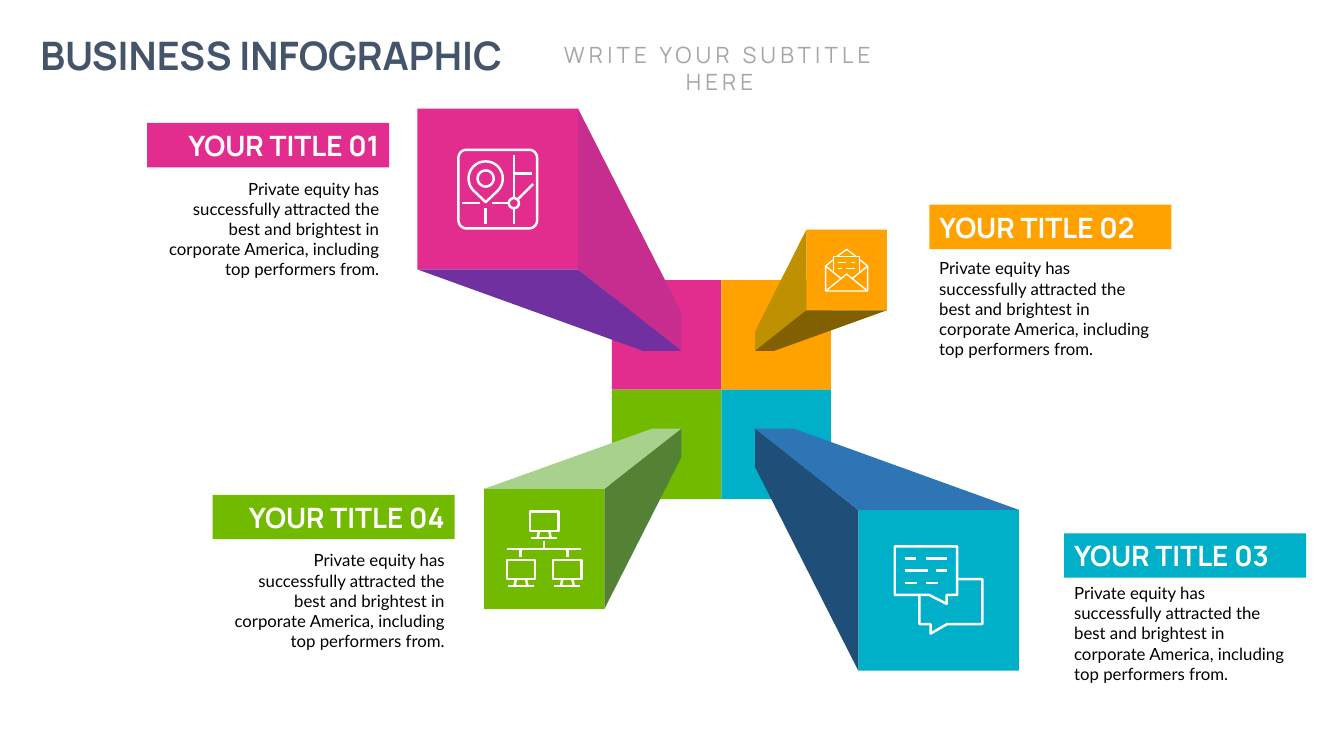
from dataclasses import dataclass
from math import cos, radians, sin

from pptx import Presentation
from pptx.dml.color import RGBColor
from pptx.enum.shapes import MSO_SHAPE
from pptx.enum.text import MSO_ANCHOR, MSO_AUTO_SIZE, PP_ALIGN
from pptx.util import Cm, Pt

RECTANGLE = MSO_SHAPE.RECTANGLE
LEFT, CENTER, RIGHT = PP_ALIGN.LEFT, PP_ALIGN.CENTER, PP_ALIGN.RIGHT
TOP, MIDDLE = MSO_ANCHOR.TOP, MSO_ANCHOR.MIDDLE
NO_AUTOFIT = MSO_AUTO_SIZE.NONE


@dataclass(frozen=True)
class Theme:
    """Colours, fonts and type sizes of the slide."""
    heading_font: str = "Manrope"
    body_font: str = "Lato"
    title_size: int = 28
    banner_size: int = 20
    subtitle_size: int = 16
    body_size: int = 12
    navy: str = "44546A"
    grey: str = "A6A6A6"
    black: str = "000000"
    white: str = "FFFFFF"
    pink: str = "E32D8E"
    dark_pink: str = "C62D8E"
    purple: str = "7030A0"
    orange: str = "FFA200"
    ochre: str = "BF9000"
    brown: str = "806000"
    cyan: str = "00B0C9"
    navy_blue: str = "1F4E79"
    blue: str = "2E75B6"
    green: str = "72BA00"
    dark_green: str = "548235"
    pale_green: str = "A9D18E"


THEME = Theme()
BODY = ("Private equity has successfully attracted the best and brightest "
        "in corporate America, including top performers from.")
ICON_UNIT = 0.0254
TIP_RATIO = 0.24
CAPTION_WIDTH, BANNER_HEIGHT, BODY_HEIGHT = 6.1, 1.12, 2.82


def arc(x, y, radius, start=0, end=360):
    """Return points along an arc given in degrees."""
    steps = 24
    angles = [radians(start + (end - start) * step / steps) for step in range(steps + 1)]
    return [(x + radius * cos(angle), y + radius * sin(angle)) for angle in angles]


def monitor(x, y):
    """Return the strokes of a desktop screen on its stand."""
    return [
        [(x, y), (x + 28, y), (x + 28, y + 19), (x, y + 19), (x, y)],
        [(x + 9, y + 19), (x + 7.5, y + 26)],
        [(x + 19, y + 19), (x + 20.5, y + 26)],
        [(x + 1, y + 26), (x + 27, y + 26)],
    ]


def dashes(*rows):
    """Return horizontal strokes from (y, start, end) rows."""
    return [[(start, y), (end, y)] for y, start, end in rows]


MAP_FRAME = (arc(9, 9, 8, 180, 270) + arc(71, 9, 8, 270, 360)
             + arc(71, 71, 8, 0, 90) + arc(9, 71, 8, 90, 180) + [(1, 9)])
MAP_PIN = arc(28, 29.5, 17, 135, 405) + [(28, 53), arc(28, 29.5, 17, 135)[0]]
MAP_ICON = [
    MAP_FRAME, MAP_PIN, arc(28, 29.5, 8), arc(56, 54, 5),
    [(28, 59), (28, 75)], [(56, 6), (56, 49)], [(56, 59), (56, 75)], [(60, 50), (75, 35)],
] + dashes((54, 5, 22), (54, 34, 51), (24.5, 56, 74))
LETTER_ICON = [
    [(8, 11.5), (0.7, 17.5), (0.7, 42.3), (42.3, 42.3), (42.3, 17.5), (35, 11.5)],
    [(8.3, 23.5), (8.3, 8), (34.5, 8), (34.5, 23.5)],
    [(12, 8), (21.5, 1), (31, 8)],
    [(0.7, 17.5), (15.5, 29.7)], [(42.3, 17.5), (27.5, 29.7)],
    [(0.7, 42.3), (21.5, 25.5), (42.3, 42.3)],
] + dashes((14, 13, 21), (14, 26, 30), (20, 13, 17), (20, 21, 30))
NETWORK_ICON = (
    monitor(24, 1) + monitor(1, 49) + monitor(47, 49)
    + [[(x, y), (x, y + 8)] for x, y in ((38, 30), (14.5, 38), (61, 38))]
    + dashes((38, 1, 75)))
CHAT_ICON = [
    [(1, 1), (63, 1), (63, 49), (52.5, 49), (52.5, 58), (35, 49), (1, 49), (1, 1)],
    [(63, 33.5), (88, 33.5), (88, 78), (53, 78), (36.5, 87.5), (36.5, 78),
     (25.5, 78), (25.5, 49)],
] + dashes((13, 11, 22), (13, 32, 53), (25, 11, 34), (25, 42, 53), (37, 11, 23), (37, 32, 44))


def paint(shape, colour):
    """Give a shape a flat fill without outline or shadow."""
    shape.shadow.inherit = False
    shape.fill.solid()
    shape.fill.fore_color.rgb = RGBColor.from_string(colour)
    shape.line.fill.background()


def add_rectangle(slide, left, top, width, height, colour):
    """Add a flat rectangle and return it."""
    shape = slide.shapes.add_shape(RECTANGLE, Cm(left), Cm(top), Cm(width), Cm(height))
    paint(shape, colour)
    return shape


def add_outline(slide, strokes):
    """Add one freeform made of strokes given in centimetres."""
    lengths = [[(Cm(x), Cm(y)) for x, y in stroke] for stroke in strokes]
    builder = slide.shapes.build_freeform(*lengths[0][0], scale=1.0)
    for index, stroke in enumerate(lengths):
        if index:
            builder.move_to(*stroke[0])
        builder.add_line_segments(stroke[1:], close=False)
    return builder.convert_to_shape()


def write(shape, text, font, size, colour, alignment, bold=False, anchor=TOP):
    """Write one formatted paragraph into a shape."""
    frame = shape.text_frame
    frame.auto_size = NO_AUTOFIT
    frame.word_wrap = True
    frame.vertical_anchor = anchor
    frame.text = text
    paragraph = frame.paragraphs[0]
    paragraph.alignment = alignment
    paragraph.font.name = font
    paragraph.font.size = Pt(size)
    paragraph.font.bold = bold
    paragraph.font.color.rgb = RGBColor.from_string(colour)
    return paragraph


def add_header(slide, left, top):
    """Place the title and the spaced-out subtitle beside it."""
    title = slide.shapes.title
    title.left, title.top, title.width, title.height = Cm(left), Cm(top), Cm(12.45), Cm(1.45)
    write(title, "BUSINESS INFOGRAPHIC", THEME.heading_font, THEME.title_size,
          THEME.navy, CENTER, bold=True)
    title.text_frame.word_wrap = False
    subtitle = slide.shapes.add_textbox(Cm(left + 12.42), Cm(top + 0.25), Cm(10.21), Cm(0.94))
    paragraph = write(subtitle, "WRITE YOUR SUBTITLE HERE", THEME.heading_font,
                      THEME.subtitle_size, THEME.grey, CENTER)
    paragraph.runs[0]._r.get_or_add_rPr().set("spc", "300")


def add_hub(slide, left, top, tile):
    """Place the four tiles from which the beams rise."""
    colours = (THEME.pink, THEME.orange, THEME.green, THEME.cyan)
    for index, colour in enumerate(colours):
        row, column = divmod(index, 2)
        add_rectangle(slide, left + column * tile, top + row * tile, tile, tile, colour)


def add_beam(slide, left, top, side, tip, colours):
    """Place a square front with two faces receding to the tip."""
    front, side_face, level_face = colours
    tip_x, tip_y = tip
    right, bottom = left + side, top + side
    inner_x, outer_x, step_x = (right, left, -1) if tip_x > right else (left, right, 1)
    inner_y, outer_y, step_y = (bottom, top, -1) if tip_y > bottom else (top, bottom, 1)
    depth = TIP_RATIO * side
    inner = (inner_x, inner_y)
    add_rectangle(slide, left, top, side, side, front)
    for outer, shoulder, colour in (
            ((inner_x, outer_y), (tip_x, tip_y + step_y * depth), side_face),
            ((outer_x, inner_y), (tip_x + step_x * depth, tip_y), level_face)):
        paint(add_outline(slide, [[inner, outer, shoulder, tip, inner]]), colour)


def add_icon(slide, left, top, side, strokes, size, weight):
    """Centre a white line icon in a square."""
    inset = (side - size * ICON_UNIT) / 2
    icon = add_outline(slide, [[(left + inset + x * ICON_UNIT, top + inset + y * ICON_UNIT)
                                for x, y in stroke] for stroke in strokes])
    icon.shadow.inherit = False
    icon.fill.background()
    icon.line.color.rgb = RGBColor.from_string(THEME.white)
    icon.line.width = Pt(weight)


def add_caption(slide, left, top, body_offset, text, colour, alignment):
    """Place a coloured banner with its description below."""
    banner = add_rectangle(slide, left, top, CAPTION_WIDTH, BANNER_HEIGHT, colour)
    write(banner, text, THEME.heading_font, THEME.banner_size, THEME.white, alignment,
          bold=True, anchor=MIDDLE)
    body = slide.shapes.add_textbox(Cm(left), Cm(top + body_offset), Cm(CAPTION_WIDTH),
                                    Cm(BODY_HEIGHT))
    write(body, BODY, THEME.body_font, THEME.body_size, THEME.black, alignment)


def main():
    """Build and save the slide."""
    presentation = Presentation()
    presentation.slide_width, presentation.slide_height = Cm(33.87), Cm(19.05)
    slide = presentation.slides.add_slide(presentation.slide_layouts[5])
    add_header(slide, 0.61, 0.66)
    add_hub(slide, 15.42, 7.06, 2.76)
    beams = (
        ((20.32, 5.79, 2.03), (19.03, 8.84), (THEME.orange, THEME.ochre, THEME.brown),
         (LETTER_ICON, 43, 1)),
        ((12.2, 12.32, 3.03), (17.17, 10.8), (THEME.green, THEME.dark_green, THEME.pale_green),
         (NETWORK_ICON, 76, 1.75)),
        ((21.63, 12.85, 4.05), (19.03, 10.8), (THEME.cyan, THEME.navy_blue, THEME.blue),
         (CHAT_ICON, 89, 1.75)),
        ((10.52, 2.74, 4.05), (17.17, 8.84), (THEME.pink, THEME.dark_pink, THEME.purple),
         (MAP_ICON, 80, 1.75)),
    )
    for square, tip, colours, icon in beams:
        add_beam(slide, *square, tip, colours)
        add_icon(slide, *square, *icon)
    add_caption(slide, 26.82, 13.44, 1.12, "YOUR TITLE 03", THEME.cyan, LEFT)
    add_caption(slide, 23.42, 5.16, 1.22, "YOUR TITLE 02", THEME.orange, LEFT)
    add_caption(slide, 5.36, 12.47, 1.27, "YOUR TITLE 04", THEME.green, RIGHT)
    add_caption(slide, 3.71, 3.1, 1.27, "YOUR TITLE 01", THEME.pink, RIGHT)
    presentation.save("out.pptx")


if __name__ == "__main__":
    main()
